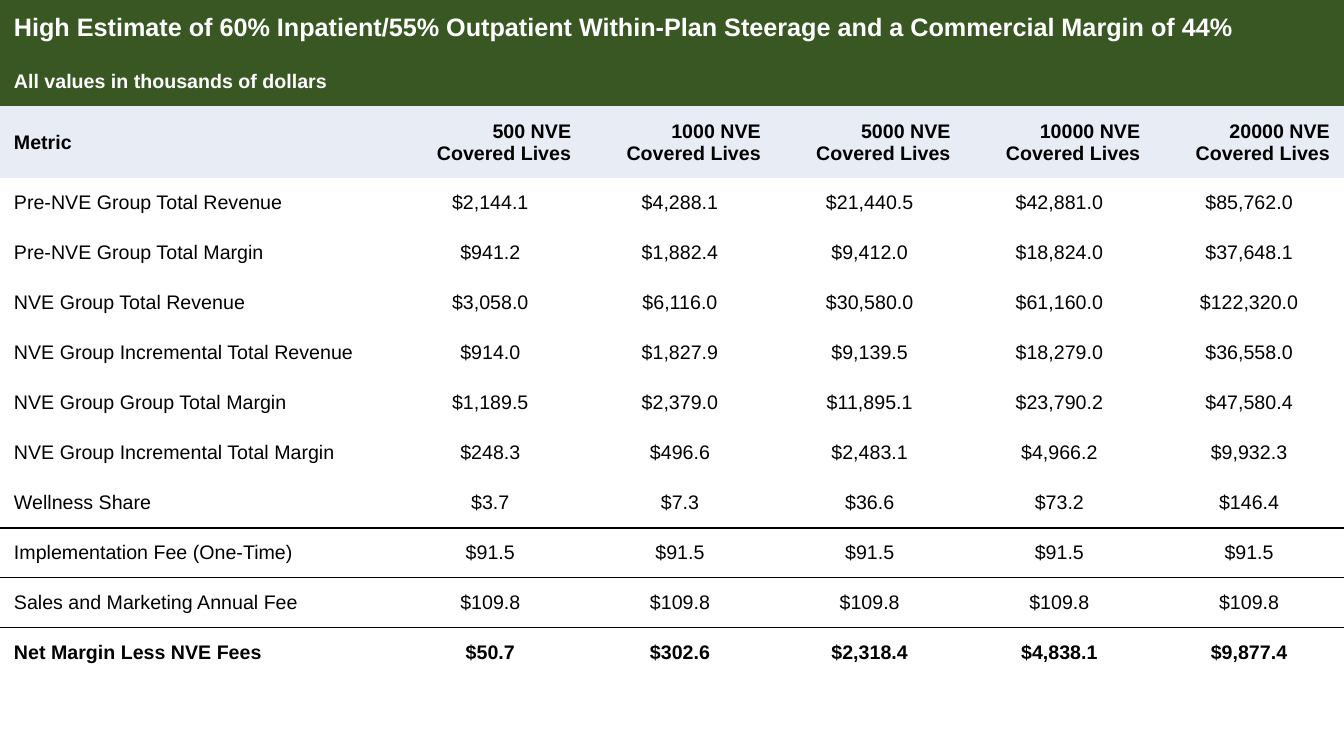
from dataclasses import dataclass
from typing import Optional

from lxml.etree import SubElement
from pptx import Presentation
from pptx.dml.color import RGBColor
from pptx.enum.text import MSO_ANCHOR, PP_ALIGN
from pptx.oxml import parse_xml
from pptx.oxml.ns import nsdecls, qn
from pptx.table import Table, _Cell
from pptx.util import Pt


@dataclass(frozen=True)
class Theme:
    font: str = "Arial"
    title_size: float = 18
    text_size: float = 14
    banner: str = "385723"
    header: str = "E7ECF5"
    light: str = "FFFFFF"
    ink: str = "000000"


@dataclass(frozen=True)
class RowStyle:
    height: float = 35.7
    size: float = Theme.text_size
    color: str = Theme.ink
    fill: Optional[str] = None
    bold: bool = False
    value_align: PP_ALIGN = PP_ALIGN.CENTER


@dataclass(frozen=True)
class MetricRow:
    texts: tuple[str, ...]
    style: RowStyle
    rule_above: bool = False
    rule_below: bool = False


THEME = Theme()
SLIDE_WIDTH, SLIDE_HEIGHT = 960, 540
METRIC_WIDTH, VALUE_WIDTH = 282.5, 135.5
SIDE_MARGIN = 10
RULE_WIDTH = 1
PLAIN_TABLE_STYLE = "{2D5ABB26-0587-4C30-8999-92F81FD0307C}"

TITLE = RowStyle(40.2, THEME.title_size, THEME.light, THEME.banner, True)
UNITS = RowStyle(color=THEME.light, fill=THEME.banner, bold=True)
HEADER = RowStyle(51.4, fill=THEME.header, bold=True, value_align=PP_ALIGN.RIGHT)
BODY = RowStyle()
TOTAL = RowStyle(bold=True)

COVERED_LIVES = (500, 1000, 5000, 10000, 20000)


def metric(name: str, *values: float, style: RowStyle = BODY,
           rule_above: bool = False, rule_below: bool = False) -> MetricRow:
    """Build a row of amounts given in thousands of dollars."""
    amounts = (f"${value:,.1f}" for value in values)
    return MetricRow((name, *amounts), style, rule_above, rule_below)


ROWS = (
    MetricRow(("High Estimate of 60% Inpatient/55% Outpatient Within-Plan Steerage "
               "and a Commercial Margin of 44%",), TITLE),
    MetricRow(("All values in thousands of dollars",), UNITS),
    MetricRow(("Metric", *(f"{lives} NVE Covered Lives" for lives in COVERED_LIVES)), HEADER),
    metric("Pre-NVE Group Total Revenue", 2144.1, 4288.1, 21440.5, 42881.0, 85762.0),
    metric("Pre-NVE Group Total Margin", 941.2, 1882.4, 9412.0, 18824.0, 37648.1),
    metric("NVE Group Total Revenue", 3058.0, 6116.0, 30580.0, 61160.0, 122320.0),
    metric("NVE Group Incremental Total Revenue", 914.0, 1827.9, 9139.5, 18279.0, 36558.0),
    metric("NVE Group Group Total Margin", 1189.5, 2379.0, 11895.1, 23790.2, 47580.4),
    metric("NVE Group Incremental Total Margin", 248.3, 496.6, 2483.1, 4966.2, 9932.3),
    metric("Wellness Share", 3.7, 7.3, 36.6, 73.2, 146.4, rule_below=True),
    metric("Implementation Fee (One-Time)", *[91.5] * len(COVERED_LIVES), rule_above=True),
    metric("Sales and Marketing Annual Fee", *[109.8] * len(COVERED_LIVES), rule_below=True),
    metric("Net Margin Less NVE Fees", 50.7, 302.6, 2318.4, 4838.1, 9877.4,
           style=TOTAL, rule_above=True),
)


def add_rule(cell: _Cell, side: str) -> None:
    """Draw a border on one side of the cell: lnT for the top, lnB for the bottom."""
    rule = parse_xml(f'<a:{side} {nsdecls("a")} w="{Pt(RULE_WIDTH)}"/>')
    fill = SubElement(rule, qn("a:solidFill"))
    SubElement(fill, qn("a:srgbClr"), val=THEME.ink)
    cell._tc.get_or_add_tcPr().insert(0, rule)


def fill_cell(cell: _Cell, text: str, align: PP_ALIGN, row: MetricRow) -> None:
    style = row.style
    cell.margin_left = cell.margin_right = Pt(SIDE_MARGIN)
    cell.margin_top = cell.margin_bottom = Pt(0)
    cell.vertical_anchor = MSO_ANCHOR.MIDDLE
    if style.fill:
        cell.fill.solid()
        cell.fill.fore_color.rgb = RGBColor.from_string(style.fill)
    else:
        cell.fill.background()
    if row.rule_above:
        add_rule(cell, "lnT")
    if row.rule_below:
        add_rule(cell, "lnB")

    cell.text_frame.text = text
    paragraph = cell.text_frame.paragraphs[0]
    paragraph.alignment = align
    for run in paragraph.runs:
        run.font.name = THEME.font
        run.font.size = Pt(style.size)
        run.font.bold = style.bold
        run.font.color.rgb = RGBColor.from_string(style.color)


def fill_row(table: Table, index: int, row: MetricRow) -> None:
    """Fill one row, letting a lone text span every column."""
    table.rows[index].height = Pt(row.style.height)
    if len(row.texts) == 1:
        table.cell(index, 0).merge(table.cell(index, len(table.columns) - 1))
    for column, text in enumerate(row.texts):
        align = row.style.value_align if column else PP_ALIGN.LEFT
        fill_cell(table.cell(index, column), text, align, row)


def main() -> None:
    presentation = Presentation()
    presentation.slide_width = Pt(SLIDE_WIDTH)
    presentation.slide_height = Pt(SLIDE_HEIGHT)
    slide = presentation.slides.add_slide(presentation.slide_layouts[6])

    table_height = sum(row.style.height for row in ROWS)
    estimate = slide.shapes.add_table(
        len(ROWS), 1 + len(COVERED_LIVES), Pt(0), Pt(0), Pt(SLIDE_WIDTH), Pt(table_height)
    ).table
    estimate.first_row = estimate.horz_banding = False
    estimate._tbl.tblPr.find(qn("a:tableStyleId")).text = PLAIN_TABLE_STYLE

    for index, column in enumerate(estimate.columns):
        column.width = Pt(VALUE_WIDTH if index else METRIC_WIDTH)
    for index, row in enumerate(ROWS):
        fill_row(estimate, index, row)

    presentation.save("out.pptx")


if __name__ == "__main__":
    main()
